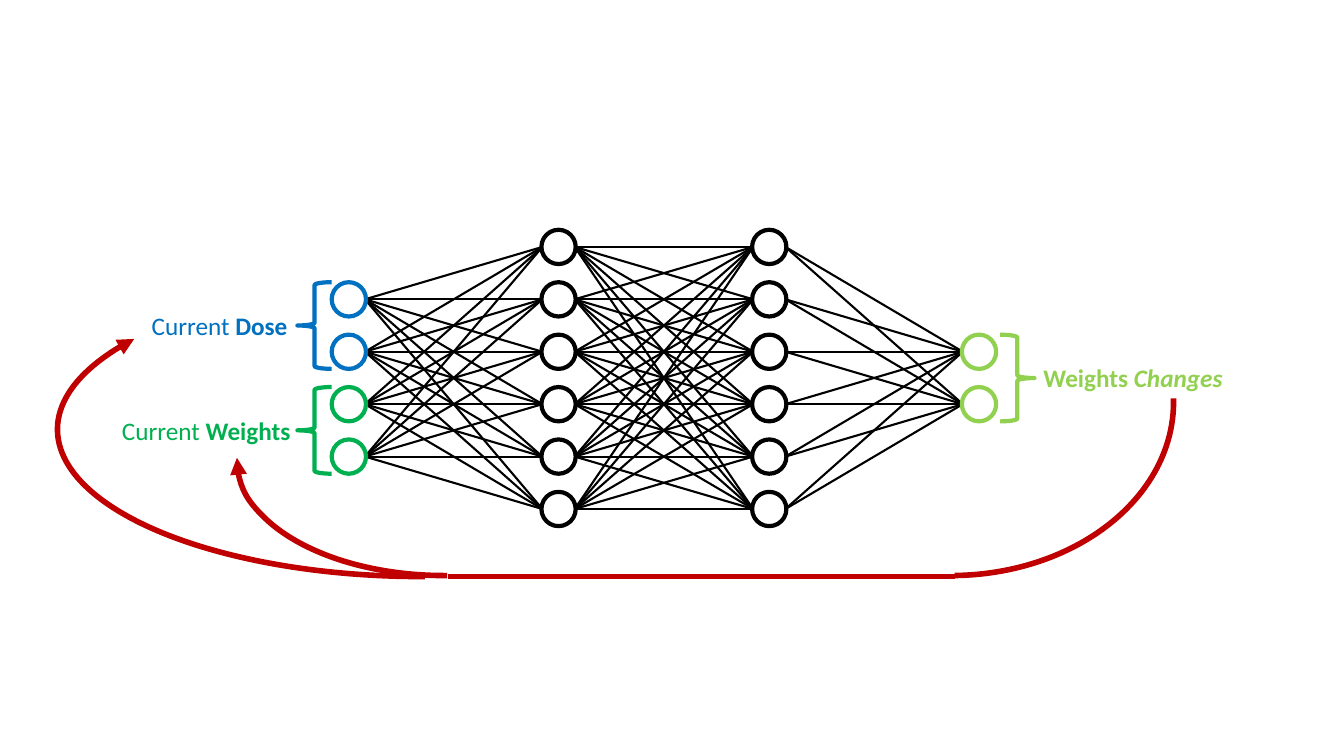
from dataclasses import dataclass
from itertools import product

from lxml import etree
from pptx import Presentation
from pptx.dml.color import RGBColor
from pptx.enum import shapes, text
from pptx.oxml import ns
from pptx.util import Inches, Pt


@dataclass(frozen=True)
class Theme:
    black: str = "000000"
    dose: str = "0070C0"
    weights: str = "00B050"
    changes: str = "92D050"
    feedback: str = "C00000"
    font: str = "Calibri"
    label_size: float = 18
    link_width: float = 1.5
    node_width: float = 3
    feedback_width: float = 4


@dataclass(frozen=True)
class Layer:
    x: float
    first_row: int
    colors: tuple


@dataclass(frozen=True)
class Run:
    text: str
    bold: bool = False
    italic: bool = False


@dataclass(frozen=True)
class Label:
    runs: tuple
    color: str
    first_row: int
    left: float
    width: float
    align: text.PP_ALIGN
    brace_left: float
    brace_rotation: float = 0


@dataclass(frozen=True)
class Arc:
    box: tuple
    start: float
    end: float
    arrow: bool = False


THEME = Theme()
TOP_ROW, ROW_PITCH = 2.45, 0.52
NODE_SIZE, LINK_INSET = 0.34, 0.16
LABEL_HEIGHT = 0.4
BRACE_HEIGHT = ROW_PITCH + NODE_SIZE

LAYERS = (
    Layer(3.46, 1, (THEME.dose,) * 2 + (THEME.weights,) * 2),
    Layer(5.54, 0, (THEME.black,) * 6),
    Layer(7.63, 0, (THEME.black,) * 6),
    Layer(9.71, 2, (THEME.changes,) * 2),
)
LABELS = (
    Label((Run("Current"), Run(" Dose", True)), THEME.dose, 1,
          1.38, 1.57, text.PP_ALIGN.RIGHT, 2.95),
    Label((Run("Current "), Run("Weights", True)), THEME.weights, 3,
          1.11, 1.87, text.PP_ALIGN.RIGHT, 2.95),
    Label((Run("Weights ", True), Run("Changes", True, True)), THEME.changes, 2,
          10.25, 1.98, text.PP_ALIGN.LEFT, 9.92, 180),
)
ARCS = (
    Arc((7.23, 2.27, 4.41, 3.44), 215.42, 53.34),
    Arc((2.35, 3.42, 4.11, 2.29), 53.1, 108.38, True),
    Arc((0.57, 2.8, 7.21, 2.92), 53.1, 118.51, True),
)


def row_y(row: int) -> float:
    return TOP_ROW + row * ROW_PITCH


def layer_rows(layer: Layer) -> range:
    return range(layer.first_row, layer.first_row + len(layer.colors))


def style_outline(shape, color: str, width: float) -> None:
    shape.line.color.rgb = RGBColor.from_string(color)
    shape.line.width = Pt(width)


def add_outline(container, kind, box: tuple, color: str, width: float):
    shape = container.add_shape(kind, *map(Inches, box))
    shape.fill.background()
    shape.shadow.inherit = False
    style_outline(shape, color, width)
    return shape


def add_links(container, source: Layer, target: Layer) -> None:
    start_x = Inches(source.x + LINK_INSET)
    end_x = Inches(target.x - LINK_INSET)
    builder = container.build_freeform(start_x, Inches(row_y(source.first_row)))
    for start, end in product(layer_rows(source), layer_rows(target)):
        builder.move_to(start_x, Inches(row_y(start)))
        builder.add_line_segments([(end_x, Inches(row_y(end)))], close=False)
    links = builder.convert_to_shape()
    links.fill.background()
    links.shadow.inherit = False
    style_outline(links, THEME.black, THEME.link_width)


def add_nodes(container, layer: Layer) -> None:
    for row, color in zip(layer_rows(layer), layer.colors):
        box = (layer.x - NODE_SIZE / 2, row_y(row) - NODE_SIZE / 2, NODE_SIZE, NODE_SIZE)
        add_outline(container, shapes.MSO_SHAPE.OVAL, box, color, THEME.node_width)


def add_label(container, label: Label) -> None:
    brace_top = row_y(label.first_row) - NODE_SIZE / 2
    brace = add_outline(
        container, shapes.MSO_SHAPE.LEFT_BRACE,
        (label.brace_left, brace_top, NODE_SIZE, BRACE_HEIGHT),
        label.color, THEME.node_width,
    )
    brace.rotation = label.brace_rotation

    top = brace_top + (BRACE_HEIGHT - LABEL_HEIGHT) / 2
    box = (label.left, top, label.width, LABEL_HEIGHT)
    frame = container.add_textbox(*map(Inches, box)).text_frame
    frame.word_wrap = False
    frame.auto_size = text.MSO_AUTO_SIZE.SHAPE_TO_FIT_TEXT
    paragraph = frame.paragraphs[0]
    paragraph.alignment = label.align
    for part in label.runs:
        run = paragraph.add_run()
        run.text = part.text
        run.font.name = THEME.font
        run.font.size = Pt(THEME.label_size)
        run.font.bold = part.bold
        run.font.italic = part.italic
        run.font.color.rgb = RGBColor.from_string(label.color)


def add_arc(container, arc: Arc) -> None:
    shape = add_outline(container, shapes.MSO_SHAPE.ARC, arc.box,
                        THEME.feedback, THEME.feedback_width)
    shape.adjustments[0] = arc.start
    shape.adjustments[1] = arc.end
    if arc.arrow:
        outline = shape.line._get_or_add_ln()
        etree.SubElement(outline, ns.qn("a:tailEnd"), type="triangle")


def add_feedback_line(container) -> None:
    ends = map(Inches, (4.44, 5.72, 9.47, 5.72))
    line = container.add_connector(shapes.MSO_CONNECTOR.STRAIGHT, *ends)
    style_outline(line, THEME.feedback, THEME.feedback_width)
    etree.SubElement(line._element.spPr, ns.qn("a:effectLst"))


presentation = Presentation()
presentation.slide_width = Inches(13.33)
presentation.slide_height = Inches(7.5)
slide = presentation.slides.add_slide(presentation.slide_layouts[6])

network = slide.shapes.add_group_shape().shapes
for source, target in zip(LAYERS, LAYERS[1:]):
    add_links(network, source, target)
for layer in LAYERS:
    add_nodes(network, layer)
for label in LABELS:
    add_label(network, label)

for arc in ARCS:
    add_arc(slide.shapes, arc)
add_feedback_line(slide.shapes)

presentation.save("out.pptx")
